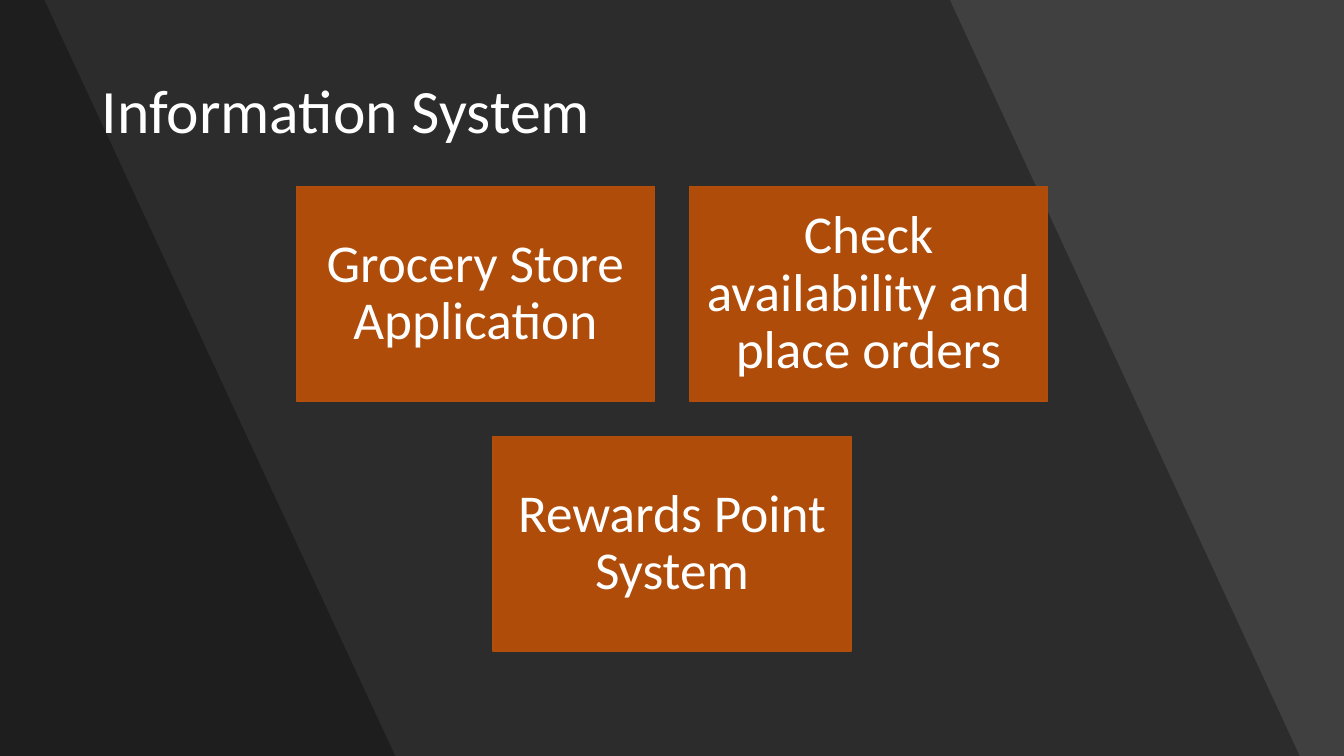
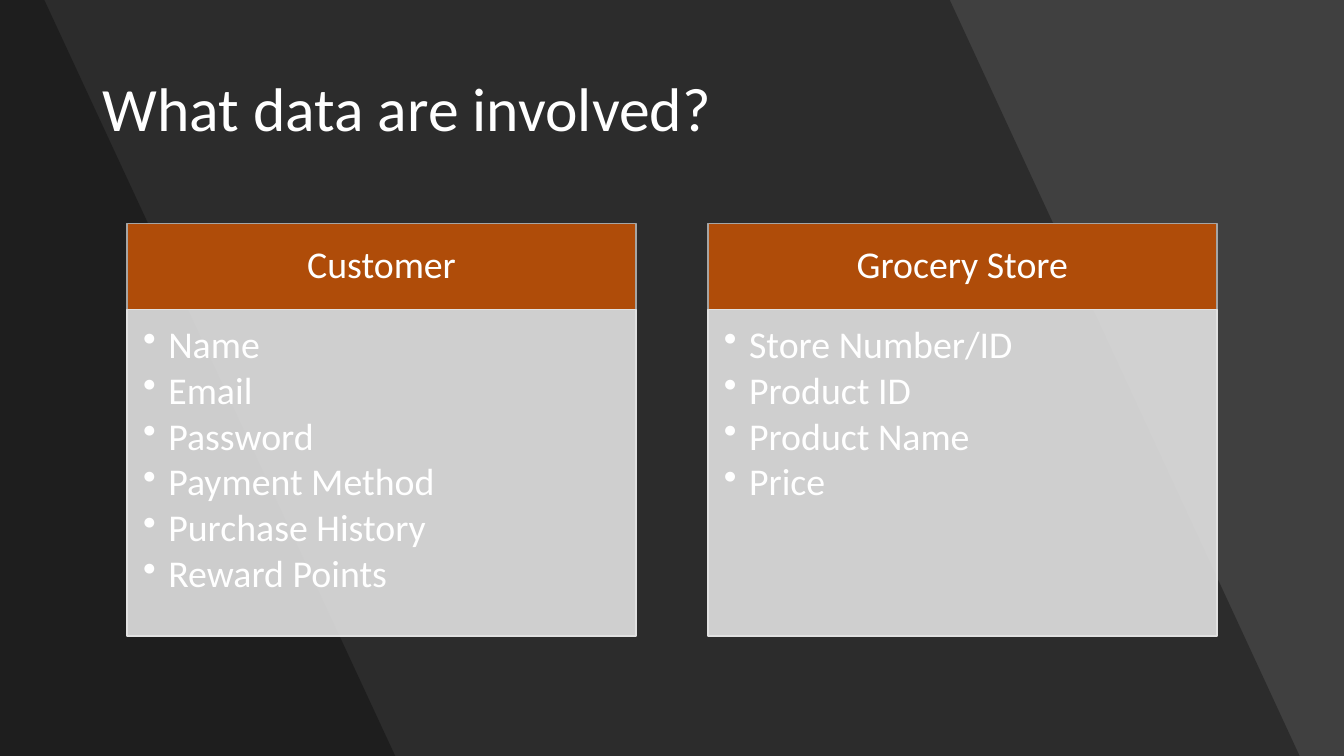
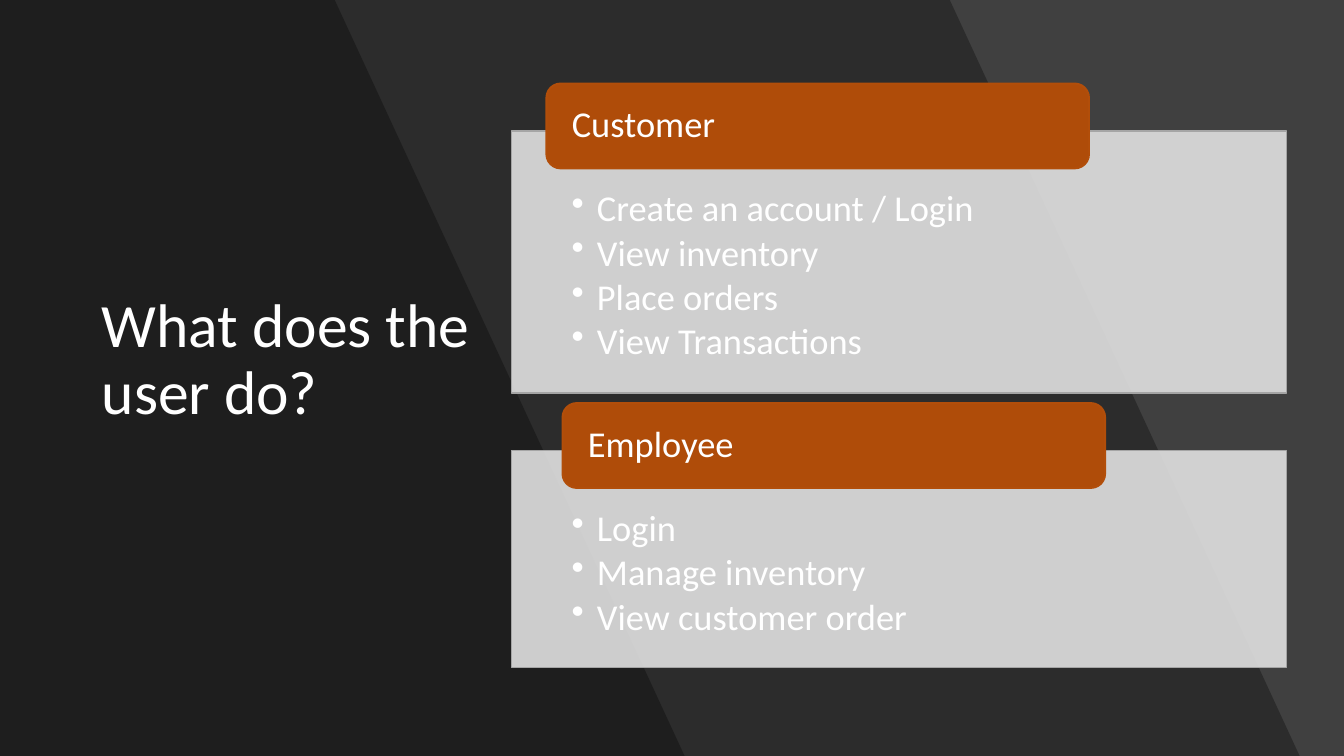
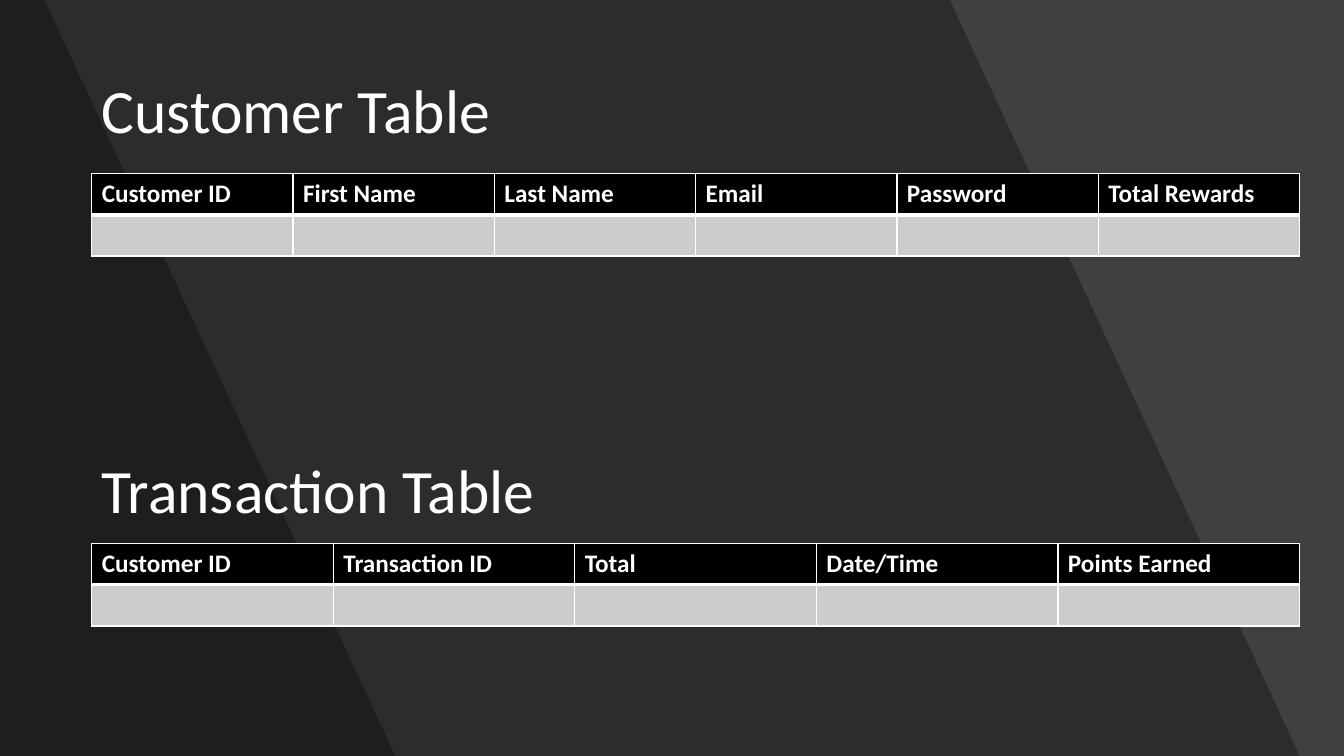
from lxml import etree
from pptx import Presentation
from pptx.dml.color import RGBColor
from pptx.enum.shapes import MSO_SHAPE
from pptx.enum.text import MSO_ANCHOR, PP_ALIGN
from pptx.oxml.ns import qn
from pptx.util import Inches, Pt

RECT, ROUNDED = MSO_SHAPE.RECTANGLE, MSO_SHAPE.ROUNDED_RECTANGLE
LEFT, CENTER = PP_ALIGN.LEFT, PP_ALIGN.CENTER
TOP, MIDDLE = MSO_ANCHOR.TOP, MSO_ANCHOR.MIDDLE

WIDTH, HEIGHT = 13.33, 7.5
FONT = "Calibri"
WHITE, BLACK = "FFFFFF", "000000"
BACKGROUND = "404040"
ORANGE, ORANGE_EDGE = "AF4C09", "B24E0A"
PANEL, GREY_EDGE = "E1E1E1", "A5A5A5"
EMPTY_ROW = "CCCCCC"
TITLE_SIZE = 44


def paint(shape, fill, opacity=100, edge=None, edge_width=1):
    """Give a shape a flat fill and an optional outline, without shadow."""
    shape.shadow.inherit = False
    shape.fill.solid()
    shape.fill.fore_color.rgb = RGBColor.from_string(fill)
    if opacity < 100:
        color = shape._element.spPr.find(qn("a:solidFill"))[0]
        etree.SubElement(color, qn("a:alpha"), val=str(opacity * 1000))
    if edge:
        shape.line.color.rgb = RGBColor.from_string(edge)
        shape.line.width = Pt(edge_width)
    else:
        shape.line.fill.background()


def write(frame, *lines, size, bold=False, align=LEFT, anchor=MIDDLE,
          insets=(0.1, 0.05, 0.1, 0.05), spacing=0.9, bullets=False):
    """Fill a text frame, one paragraph a line; insets run left, top, right, bottom."""
    frame.word_wrap = True
    frame.vertical_anchor = anchor
    (frame.margin_left, frame.margin_top,
     frame.margin_right, frame.margin_bottom) = map(Inches, insets)
    for number, line in enumerate(lines):
        paragraph = frame.add_paragraph() if number else frame.paragraphs[0]
        paragraph.alignment = align
        paragraph.line_spacing = spacing
        run = paragraph.add_run()
        run.text = line
        run.font.name = FONT
        run.font.size = Pt(size)
        run.font.bold = bold
        run.font.color.rgb = RGBColor.from_string(WHITE)
        if bullets:
            paragraph.space_after = Pt(3.6)
            properties = paragraph._p.get_or_add_pPr()
            properties.set("marL", str(Inches(0.25)))
            properties.set("indent", str(-Inches(0.25)))
            etree.SubElement(properties, qn("a:buChar"), char="•")


prs = Presentation()
prs.slide_width, prs.slide_height = Inches(WIDTH), Inches(HEIGHT)

# Shared by all slides: background, slanted bands, title
WIDE_BAND, NARROW_BAND, MIDDLE_BAND = (9.42, 12.89), (0.44, 3.92), (3.32, 6.79)
TITLE_BOX = (0.91, 0.4, 11.51, 1.45)
openings = [
    ("Information System", NARROW_BAND, TITLE_BOX),
    ("What data are involved?", NARROW_BAND, (0.92, 0.38, 11.51, 1.45)),
    ("What does the user do?", MIDDLE_BAND, (0.91, 0.4, 4.35, 6.36)),
    ("Customer Table", NARROW_BAND, TITLE_BOX),
]
slides = []
for title, left_band, title_box in openings:
    slide = prs.slides.add_slide(prs.slide_layouts[6])
    slide.background.fill.solid()
    slide.background.fill.fore_color.rgb = RGBColor.from_string(BACKGROUND)
    for upper, lower in (WIDE_BAND, left_band):
        outline = slide.shapes.build_freeform(0, 0)
        outline.add_line_segments([
            (Inches(upper), 0), (Inches(lower), Inches(HEIGHT)), (0, Inches(HEIGHT))])
        paint(outline.convert_to_shape(), BLACK, opacity=30)
    heading = slide.shapes.add_textbox(*map(Inches, title_box))
    write(heading.text_frame, title, size=TITLE_SIZE)
    slides.append(slide)
system_slide, data_slide, user_slide, table_slide = slides

# Information system: centred rows of tiles
TILE_W, TILE_H, TILE_GAP = 3.55, 2.13, 0.35
tile_rows = [
    ["Grocery Store Application", "Check availability and place orders"],
    ["Rewards Point System"],
]
for row, labels in enumerate(tile_rows):
    row_width = len(labels) * (TILE_W + TILE_GAP) - TILE_GAP
    for column, label in enumerate(labels):
        tile = system_slide.shapes.add_shape(
            RECT,
            Inches((WIDTH - row_width) / 2 + column * (TILE_W + TILE_GAP)),
            Inches(1.85 + row * (TILE_H + TILE_GAP)),
            Inches(TILE_W), Inches(TILE_H))
        paint(tile, ORANGE, edge=ORANGE_EDGE)
        write(tile.text_frame, label, size=38, align=CENTER, insets=(0.16,) * 4)

# Data involved: two headed lists
data_lists = {
    "Customer": ["Name", "Email", "Password", "Payment Method",
                 "Purchase History", "Reward Points"],
    "Grocery Store": ["Store Number/ID", "Product ID", "Product Name", "Price"],
}
for column, (owner, fields) in enumerate(data_lists.items()):
    left = Inches(1.26 + column * 5.76)
    header = data_slide.shapes.add_shape(
        RECT, left, Inches(2.22), Inches(5.05), Inches(0.85))
    paint(header, ORANGE, edge=GREY_EDGE)
    write(header.text_frame, owner, size=27, align=CENTER,
          insets=(0.21, 0.12, 0.21, 0.12))
    field_list = data_slide.shapes.add_shape(
        RECT, left, Inches(3.07), Inches(5.05), Inches(3.24))
    paint(field_list, PANEL, opacity=90, edge=PANEL)
    write(field_list.text_frame, *fields, size=27, anchor=TOP,
          insets=(0.16, 0.16, 0.21, 0.24), bullets=True)

# User actions: panels with an overlapping tab
user_panels = [
    ("Customer", 5.42, 1.3, 2.6,
     ["Create an account / Login", "View inventory", "Place orders",
      "View Transactions"]),
    ("Employee", 5.58, 4.47, 2.15,
     ["Login", "Manage inventory", "View customer order"]),
]
for user, tab_left, top, height, actions in user_panels:
    action_list = user_slide.shapes.add_shape(
        RECT, Inches(5.07), Inches(top), Inches(7.69), Inches(height))
    paint(action_list, PANEL, opacity=90, edge=GREY_EDGE)
    write(action_list.text_frame, *actions, size=26, anchor=TOP,
          insets=(0.6, 0.59, 0.6, 0.2), bullets=True)
    tab = user_slide.shapes.add_shape(
        ROUNDED, Inches(tab_left), Inches(top - 0.47), Inches(5.38), Inches(0.84))
    paint(tab, ORANGE, edge=ORANGE_EDGE, edge_width=1.5)
    write(tab.text_frame, user, size=26, insets=(0.21, 0, 0.21, 0))

# Tables: a header row over an empty row
second_heading = table_slide.shapes.add_textbox(
    *map(Inches, (0.91, 4.17, 11.51, 1.45)))
write(second_heading.text_frame, "Transaction Table", size=TITLE_SIZE)

TABLE_W, ROW_H = 11.98, 0.41
table_headers = [
    (1.72, ["Customer ID", "First Name", "Last Name", "Email", "Password",
            "Total Rewards"]),
    (5.39, ["Customer ID", "Transaction ID", "Total", "Date/Time",
            "Points Earned"]),
]
row_styles = [
    (BLACK, {"a:lnL": 1, "a:lnR": 1, "a:lnT": 1, "a:lnB": 3}),
    (EMPTY_ROW, {"a:lnL": 1, "a:lnR": 1, "a:lnT": 3, "a:lnB": 1}),
]
for top, names in table_headers:
    table = table_slide.shapes.add_table(
        2, len(names), Inches(0.91), Inches(top),
        Inches(TABLE_W), Inches(2 * ROW_H)).table
    for column, name in enumerate(names):
        table.columns[column].width = Inches(TABLE_W / len(names))
        for row, (fill, borders) in enumerate(row_styles):
            cell = table.cell(row, column)
            for side, points in borders.items():
                border = etree.SubElement(
                    cell._tc.get_or_add_tcPr(), qn(side), w=str(Pt(points)))
                solid = etree.SubElement(border, qn("a:solidFill"))
                etree.SubElement(solid, qn("a:srgbClr"), val=WHITE)
            cell.fill.solid()
            cell.fill.fore_color.rgb = RGBColor.from_string(fill)
        write(table.cell(0, column).text_frame, name, size=18, bold=True,
              anchor=TOP, spacing=1.0)

prs.save("out.pptx")
